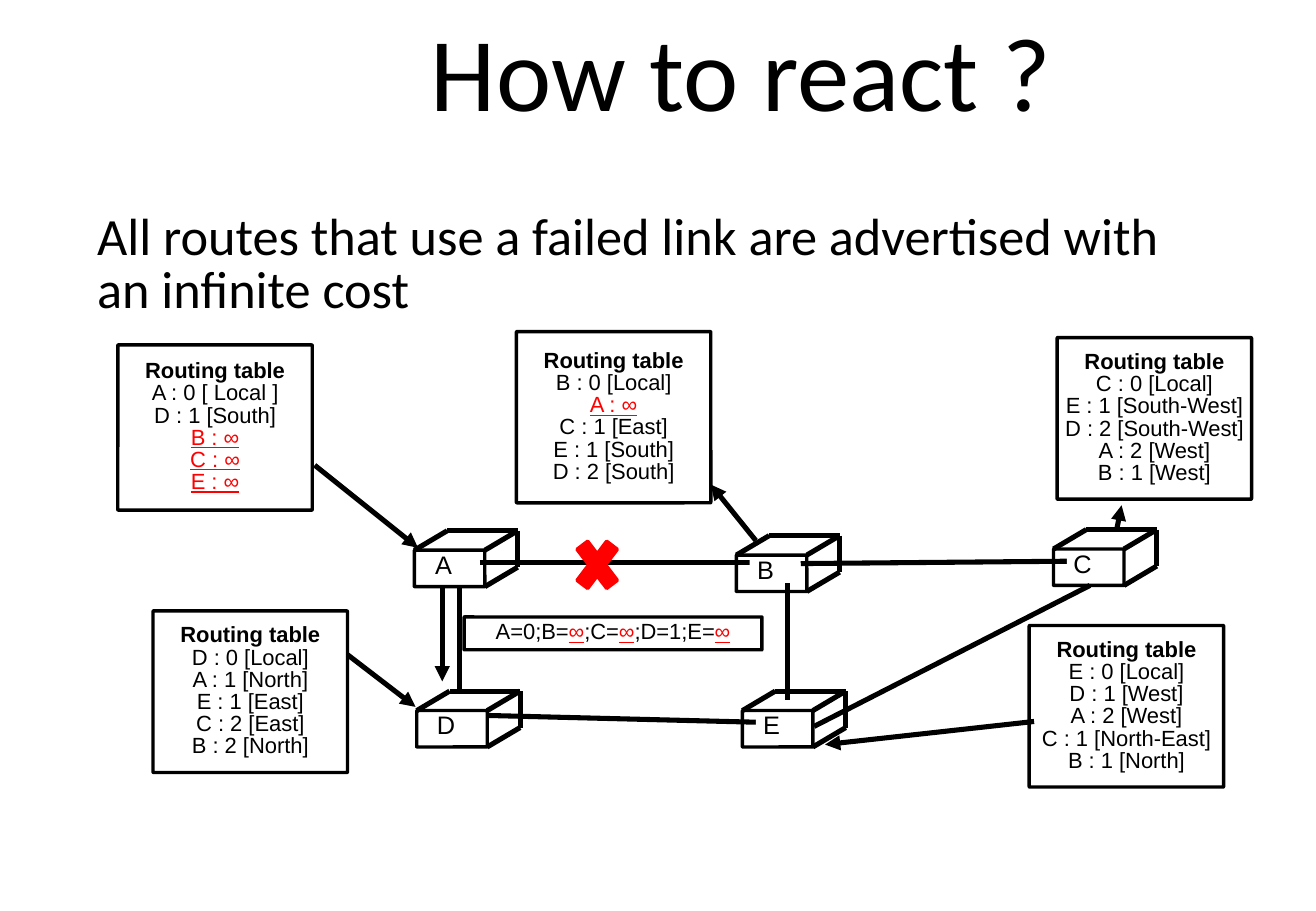
"""Build a slide on how a routing network reacts to a failed link."""
import dataclasses

import lxml.etree
import pptx
import pptx.dml.color
import pptx.enum.shapes
import pptx.enum.text
import pptx.oxml.ns
import pptx.util

Inches = pptx.util.Inches
Pt = pptx.util.Pt
qn = pptx.oxml.ns.qn
PRESET = pptx.enum.shapes.MSO_SHAPE
ALIGN = pptx.enum.text.PP_ALIGN


@dataclasses.dataclass(frozen=True)
class Theme:
    ink: str = "000000"
    paper: str = "FFFFFF"
    alert: str = "FF0000"
    heading_font: str = "Calibri"
    label_font: str = "Arial"
    title_size: float = 62
    body_size: float = 31
    node_size: float = 15
    table_size: float = 13
    box_line: float = 2
    link_line: float = 3
    spacing: float = 0.84


THEME = Theme()


def rgb(color):
    return pptx.dml.color.RGBColor.from_string(color)


def write_text(tf, text, font=THEME.label_font, size=THEME.table_size, align=ALIGN.CENTER,
               bold_first=False, whole_line_alert=False, inset=0, before=0):
    tf.word_wrap = True
    tf.auto_size = pptx.enum.text.MSO_AUTO_SIZE.NONE
    tf.vertical_anchor = pptx.enum.text.MSO_ANCHOR.MIDDLE
    tf.margin_left = tf.margin_top = tf.margin_right = tf.margin_bottom = Inches(inset)
    for i, line in enumerate(text.split("\n")):
        p = tf.add_paragraph() if i else tf.paragraphs[0]
        p.alignment = align
        p.line_spacing = THEME.spacing
        p.space_before = Pt(before)
        parts = [line] if whole_line_alert else line.replace("∞", "|∞|").split("|")
        for part in filter(None, parts):
            r = p.add_run()
            r.text = part
            failed = "∞" in part
            r.font.name = font
            r.font.size = Pt(size)
            r.font.bold = bold_first and i == 0
            r.font.underline = failed
            r.font.color.rgb = rgb(THEME.alert if failed else THEME.ink)


class NetworkSlide:
    def __init__(self, prs, theme):
        self.theme = theme
        self.s = prs.slides.add_slide(prs.slide_layouts[1])

    def placeholder(self, index, text, left, top, width, height, **fmt):
        sp = self.s.placeholders[index]
        sp.left, sp.top, sp.width, sp.height = map(Inches, (left, top, width, height))
        write_text(sp.text_frame, text, font=self.theme.heading_font, inset=0.04, **fmt)
        return sp.text_frame.paragraphs[0]

    def title(self, text, *place):
        self.placeholder(0, text, *place, size=self.theme.title_size)

    def body(self, text, *place):
        p = self.placeholder(1, text, *place, size=self.theme.body_size,
                             align=ALIGN.LEFT, before=17.7)
        pPr = p._p.get_or_add_pPr()
        pPr.set("marL", str(Inches(0.06)))
        pPr.set("indent", "0")
        lxml.etree.SubElement(pPr, qn("a:buNone"))

    def shape(self, preset, left, top, width, height, fill=None, line=None, parent=None):
        shapes = (parent or self.s).shapes
        sp = shapes.add_shape(preset, *map(Inches, (left, top, width, height)))
        sp.shadow.inherit = False
        if fill:
            sp.fill.solid()
            sp.fill.fore_color.rgb = rgb(fill)
        else:
            sp.fill.background()
        if line:
            sp.line.color.rgb = rgb(line)
            sp.line.width = Pt(self.theme.box_line)
        else:
            sp.line.fill.background()
        return sp

    def box(self, left, top, width, height, text="", parent=None, **fmt):
        sp = self.shape(PRESET.ROUNDED_RECTANGLE, left, top, width, height,
                        line=self.theme.ink, parent=parent)
        sp.adjustments[0] = 0.004
        if text:
            write_text(sp.text_frame, text, **fmt)

    def line(self, x1, y1, x2, y2, arrow=False, parent=None):
        cn = (parent or self.s).shapes.add_connector(
            pptx.enum.shapes.MSO_CONNECTOR.STRAIGHT, *map(Inches, (x1, y1, x2, y2)))
        cn.line.color.rgb = rgb(self.theme.ink)
        cn.line.width = Pt(self.theme.link_line)
        if arrow:
            lxml.etree.SubElement(cn.line._get_or_add_ln(), qn("a:tailEnd"), type="triangle")
        lxml.etree.SubElement(cn._element.spPr, qn("a:effectLst"))

    def node(self, name, left, top):
        width, height, dx, dy = 0.58, 0.3, 0.27, 0.16
        right, bottom = left + width, top + height
        group = self.s.shapes.add_group_shape()
        self.box(left, top, width, height, parent=group)
        for x, y in ((left, top), (right, top), (right, bottom)):
            self.line(x, y, x + dx, y - dy, parent=group)
        self.line(left + dx, top - dy, right + dx, top - dy, parent=group)
        self.line(right + dx, top - dy, right + dx, bottom - dy, parent=group)
        label = self.shape(PRESET.RECTANGLE, left + 0.11, top + 0.02, 0.26, 0.23,
                           fill=self.theme.paper, parent=group)
        write_text(label.text_frame, name, size=self.theme.node_size)

    def routing_table(self, routes, left, top, height):
        self.box(left, top, 1.6, height, "Routing table\n" + "\n".join(routes),
                 bold_first=True, whole_line_alert=True)

    def cross(self, *place):
        self.shape(PRESET.MATH_MULTIPLY, *place, fill=self.theme.alert, line=self.theme.alert)


LINKS = [
    (3.78, 4.82, 3.78, 5.69), (4, 5.89, 6.39, 5.95), (3.95, 4.63, 6.37, 4.63),
    (6.48, 4.8, 6.48, 5.76), (6.7, 5.98, 8.97, 4.82), (6.59, 4.64, 8.86, 4.62),
]
NODES = [("A", 3.41, 4.53), ("B", 6.06, 4.57), ("C", 8.67, 4.52),
         ("D", 3.43, 5.85), ("E", 6.11, 5.85)]
TABLES = [
    (["A : 0 [ Local ]", "D : 1 [South]", "B : ∞", "C : ∞", "E : ∞"], 0.97, 2.84, 1.36),
    (["B : 0 [Local]", "A : ∞", "C : 1 [East]", "E : 1 [South]", "D : 2 [South]"],
     4.25, 2.73, 1.41),
    (["C : 0 [Local]", "E : 1 [South-West]", "D : 2 [South-West]", "A : 2 [West]",
      "B : 1 [West]"], 8.7, 2.78, 1.33),
    (["D : 0 [Local]", "A : 1 [North]", "E : 1 [East]", "C : 2 [East]", "B : 2 [North]"],
     1.26, 5.03, 1.33),
    (["E : 0 [Local]", "D : 1 [West]", "A : 2 [West]", "C : 1 [North-East]",
      "B : 1 [North]"], 8.47, 5.15, 1.33),
]
ARROWS = [
    (2.59, 3.83, 3.44, 4.51), (6.22, 4.45, 5.85, 3.99), (9.19, 4.36, 9.23, 4.16),
    (2.86, 5.39, 3.42, 5.82), (8.51, 5.94, 6.79, 6.13), (3.64, 4.83, 3.64, 5.61),
]


def main():
    prs = pptx.Presentation()
    prs.slide_width, prs.slide_height = Inches(10.83), Inches(7.5)
    slide = NetworkSlide(prs, THEME)
    slide.title("How to react ?", 2.06, 0, 8.08, 1.32)
    slide.body("All routes that use a failed link are advertised with an infinite cost",
               0.7, 1.01, 9.25, 2.36)
    for link in LINKS:
        slide.line(*link)
    for node in NODES:
        slide.node(*node)
    for table in TABLES:
        slide.routing_table(*table)
    for arrow in ARROWS:
        slide.line(*arrow, arrow=True)
    slide.box(3.82, 5.08, 2.45, 0.27, "A=0;B=∞;C=∞;D=1;E=∞")
    slide.cross(4.68, 4.34, 0.47, 0.62)
    prs.save("out.pptx")


if __name__ == "__main__":
    main()
